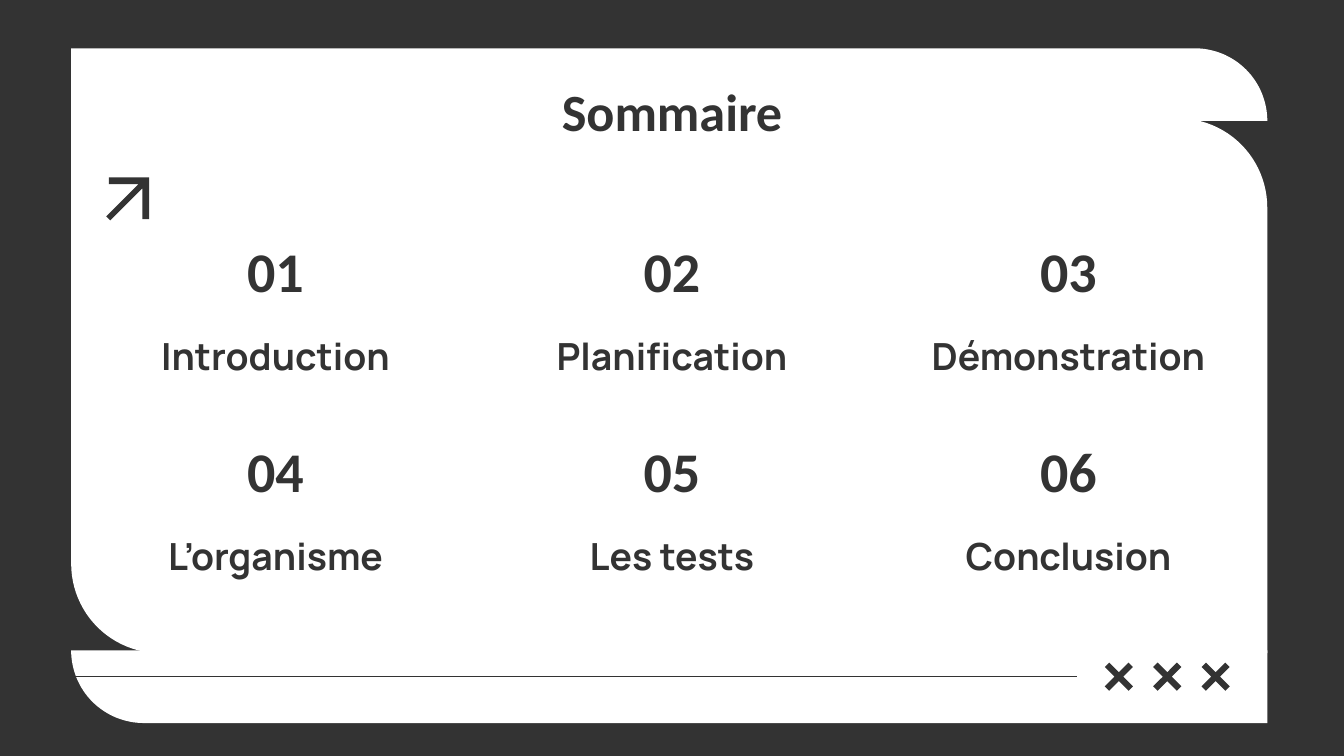
import math

from pptx import Presentation
from pptx.dml.color import RGBColor
from pptx.enum import shapes, text
from pptx.oxml.ns import qn
from pptx.util import Inches, Pt
from lxml import etree

DARK, WHITE = "333333", "FFFFFF"
TOPICS = ["Introduction", "Planification", "Démonstration",
          "L’organisme", "Les tests", "Conclusion"]


def colour(value):
    return RGBColor.from_string(value)


def paint(shape, value):
    shape.shadow.inherit = False
    shape.fill.solid()
    shape.fill.fore_color.rgb = colour(value)
    shape.line.fill.background()


def add_outline(page, points, fill):
    """Draw a closed, filled outline through points given in inches."""
    corners = [(Inches(x), Inches(y)) for x, y in points]
    builder = page.shapes.build_freeform(*corners[0], scale=1.0)
    builder.add_line_segments(corners[1:], close=True)
    paint(builder.convert_to_shape(), fill)


def add_label(page, left, top, width, height, words, size, font,
              anchor=text.MSO_ANCHOR.BOTTOM):
    box = page.shapes.add_textbox(Inches(left), Inches(top), Inches(width), Inches(height))
    frame = box.text_frame
    frame.word_wrap = True
    frame.vertical_anchor = anchor
    frame.margin_left = frame.margin_right = Inches(0.1)
    frame.margin_top = frame.margin_bottom = Inches(0.1)
    para = frame.paragraphs[0]
    para.text = words
    para.alignment = text.PP_ALIGN.CENTER
    para.font.size = Pt(size)
    para.font.name = font
    para.font.bold = True
    para.font.color.rgb = colour(DARK)


def add_band(page, left, top, width, height, turned=False):
    """Draw a strip with a round top right corner, or turned by half a circle."""
    steps = 32
    angles = [math.pi / 2 * step / steps for step in range(steps + 1)]
    points = [(0, 0), (0, height), (width, height)]
    points += [(width - height + height * math.cos(a), height - height * math.sin(a))
               for a in angles[1:]]
    if turned:
        points = [(width - x, height - y) for x, y in points]
    add_outline(page, [(left + x, top + y) for x, y in points], WHITE)


def add_card(page, left, top, width, height):
    band = 0.54
    body = page.shapes.add_shape(
        shapes.MSO_SHAPE.ROUND_2_DIAG_RECTANGLE, Inches(left), Inches(top + 0.52),
        Inches(width), Inches(height - 1.04))
    body.adjustments[0] = 0
    body.adjustments[1] = 0.167
    paint(body, WHITE)
    add_band(page, left, top, width, band)
    add_band(page, left, top + height - band, width, band, turned=True)


def add_topics(page, left, top):
    columns, column_step, row_step = 3, 2.95, 1.49
    for index, topic in enumerate(TOPICS):
        row, column = divmod(index, columns)
        x, y = left + column * column_step, top + row * row_step
        add_label(page, x + 0.73, y, 1.06, 0.63, f"{index + 1:02d}", 30, "Calibri")
        add_label(page, x, y + 0.65, 2.52, 0.53, topic, 20, "Manrope")


def add_footer(page, left, top, width, size):
    """Draw a rule followed by three crosses that end at the right edge."""
    middle = Inches(top + size / 2)
    rule = page.shapes.add_connector(
        shapes.MSO_CONNECTOR.STRAIGHT, Inches(left + width - 1.16), middle,
        Inches(left), middle)
    rule.line.color.rgb = colour(DARK)
    rule.line.width = Pt(0.75)
    etree.SubElement(rule._element.spPr, qn("a:effectLst"))
    for index in range(3):
        x = left + width - size - 0.36 * (2 - index)
        cross = page.shapes.add_shape(
            shapes.MSO_SHAPE.CROSS, Inches(x), Inches(top), Inches(size), Inches(size))
        cross.adjustments[0] = 0.407
        cross.rotation = 45
        paint(cross, DARK)


def add_corner_arrow(page, left, top):
    points = [(0.27, 0.31), (0.27, 0.08), (0.03, 0.32), (0, 0.29), (0.24, 0.05),
              (0.02, 0.05), (0.02, 0), (0.32, 0), (0.32, 0.31)]
    add_outline(page, [(left + x, top + y) for x, y in points], DARK)


def main():
    deck = Presentation()
    deck.slide_width = Inches(10)
    deck.slide_height = deck.slide_width * 9 // 16
    page = deck.slides.add_slide(deck.slide_layouts[6])
    page.background.fill.solid()
    page.background.fill.fore_color.rgb = colour(DARK)
    add_card(page, 0.53, 0.36, 8.9, 5.02)
    add_label(page, 0.79, 0.49, 8.42, 0.63, "Sommaire", 28, "Calibri",
              text.MSO_ANCHOR.TOP)
    add_topics(page, 0.79, 1.73)
    add_footer(page, 0.56, 4.91, 8.61, 0.25)
    add_corner_arrow(page, 0.79, 1.32)
    deck.save("out.pptx")


if __name__ == "__main__":
    main()
